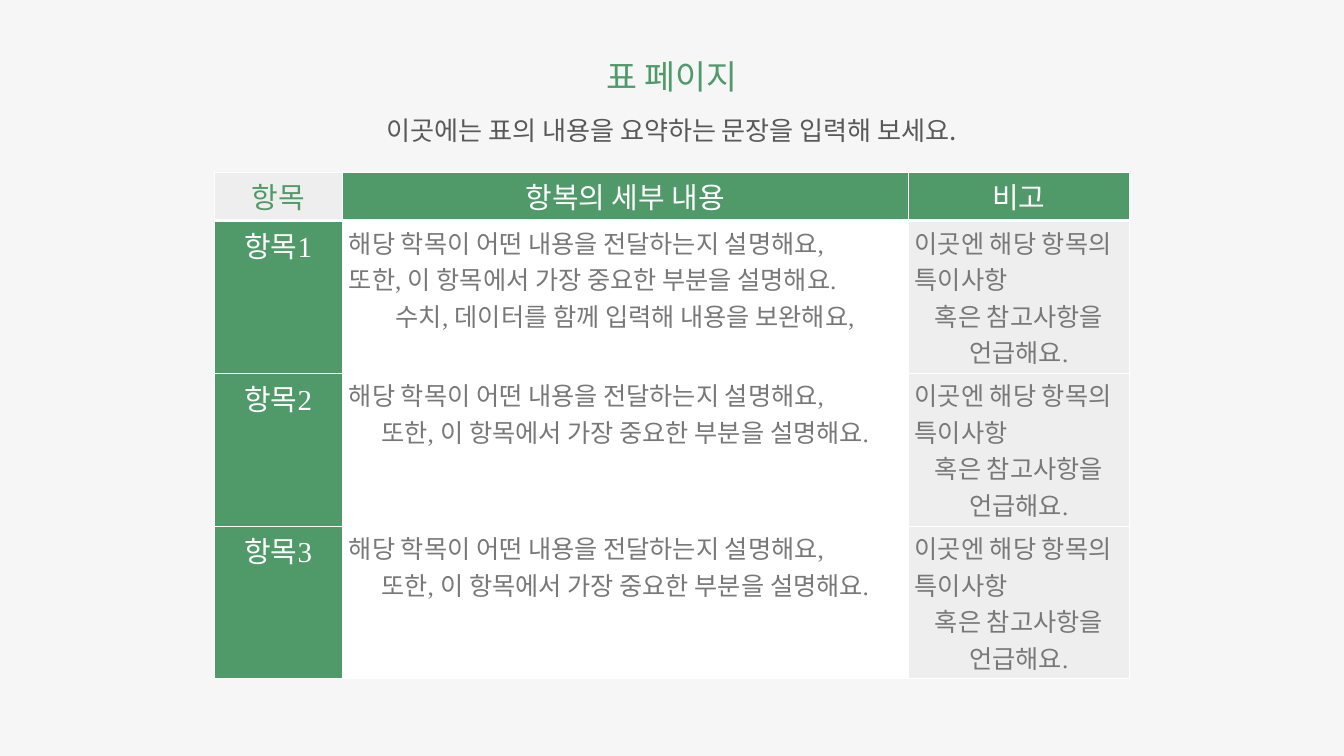
from dataclasses import dataclass

from lxml import etree
from pptx import Presentation
from pptx.dml.color import RGBColor
from pptx.enum.text import MSO_ANCHOR, MSO_AUTO_SIZE, PP_ALIGN
from pptx.oxml.ns import qn
from pptx.util import Cm, Pt

CENTER, LEFT = PP_ALIGN.CENTER, PP_ALIGN.LEFT
MIDDLE = MSO_ANCHOR.MIDDLE
NO_AUTOFIT = MSO_AUTO_SIZE.NONE
TITLE_ONLY = 5


@dataclass(frozen=True)
class Theme:
    page: str = "F6F6F6"
    green: str = "509A6A"
    pale: str = "EEEEEE"
    white: str = "FFFFFF"
    gray: str = "787878"
    dark: str = "595959"
    sans: str = "Noto Sans CJK KR"
    serif: str = "Times New Roman"
    title_size: int = 36
    summary_size: int = 28
    label_size: int = 31
    body_size: int = 27
    rule: int = 1
    header_rule: int = 3


THEME = Theme()

HEADINGS = ["항목", "항복의 세부 내용", "비고"]
DETAIL = ["해당 학목이 어떤 내용을 전달하는지 설명해요,",
          "또한, 이 항목에서 가장 중요한 부분을 설명해요."]
DATA_HINT = "수치, 데이터를 함께 입력해 내용을 보완해요,"
REMARK = ["이곳엔 해당 항목의 특이사항", "혹은 참고사항을 언급해요."]
ITEMS = [("항목1", DETAIL + [DATA_HINT]), ("항목2", DETAIL), ("항목3", DETAIL)]

COLUMN_WIDTHS = [4.83, 21.39, 8.38]
HEADER_HEIGHT, ITEM_HEIGHT = 1.83, 5.72


def write(frame, text, *, size, color, font):
    """Write one paragraph per line; only the last one is centred."""
    lines = [text] if isinstance(text, str) else text
    for index, line in enumerate(lines):
        para = frame.paragraphs[0] if index == 0 else frame.add_paragraph()
        para.alignment = CENTER if index == len(lines) - 1 else LEFT
        span = para.add_run()
        span.text = line
        span.font.size = Pt(size)
        span.font.name = font
        span.font.color.rgb = RGBColor.from_string(color)


def place_text(box, text, left, top, width, height, **text_format):
    box.left, box.top, box.width, box.height = map(Cm, (left, top, width, height))
    frame = box.text_frame
    frame.word_wrap = True
    frame.auto_size = NO_AUTOFIT
    frame.vertical_anchor = MIDDLE
    write(frame, text, font=THEME.sans, **text_format)


def add_borders(cell, bottom):
    properties = cell._tc.get_or_add_tcPr()
    rule = THEME.rule
    for side, width in (("L", rule), ("R", rule), ("T", rule), ("B", bottom)):
        line = etree.SubElement(properties, qn(f"a:ln{side}"), w=str(Pt(width)))
        fill = etree.SubElement(line, qn("a:solidFill"))
        etree.SubElement(fill, qn("a:srgbClr"), val=THEME.white)


def fill_cell(cell, text, *, fill, color, size, bottom=THEME.rule):
    add_borders(cell, bottom)
    cell.fill.solid()
    cell.fill.fore_color.rgb = RGBColor.from_string(fill)
    write(cell.text_frame, text, size=size, color=color, font=THEME.serif)


def add_item_table(page):
    heights = [HEADER_HEIGHT] + [ITEM_HEIGHT] * len(ITEMS)
    table = page.shapes.add_table(
        len(heights), len(COLUMN_WIDTHS), Cm(8.1), Cm(6.5),
        Cm(sum(COLUMN_WIDTHS)), Cm(sum(heights))).table
    table.first_row = table.horz_banding = False
    for column, width in zip(table.columns, COLUMN_WIDTHS):
        column.width = Cm(width)
    for row, height in zip(table.rows, heights):
        row.height = Cm(height)

    # Header row: the first cell has the colours of a pale corner
    for index, heading in enumerate(HEADINGS):
        fill, color = ((THEME.pale, THEME.green) if index == 0
                       else (THEME.green, THEME.white))
        fill_cell(table.cell(0, index), heading, fill=fill, color=color,
                  size=THEME.label_size, bottom=THEME.header_rule)

    # Item rows
    for row, (label, detail) in enumerate(ITEMS, start=1):
        fill_cell(table.cell(row, 0), label, fill=THEME.green,
                  color=THEME.white, size=THEME.label_size)
        for column, text, fill in ((1, detail, THEME.white), (2, REMARK, THEME.pale)):
            fill_cell(table.cell(row, column), text, fill=fill,
                      color=THEME.gray, size=THEME.body_size)


def main():
    deck = Presentation()
    deck.slide_width, deck.slide_height = Cm(50.8), Cm(28.58)
    page = deck.slides.add_slide(deck.slide_layouts[TITLE_ONLY])
    page.background.fill.solid()
    page.background.fill.fore_color.rgb = RGBColor.from_string(THEME.page)

    # Table
    add_item_table(page)

    # Title and summary
    place_text(page.shapes.title, "표 페이지", 15.47, 1.52, 19.86, 2.69,
               size=THEME.title_size, color=THEME.green)
    summary = page.shapes.add_textbox(0, 0, 0, 0)
    place_text(summary, "이곳에는 표의 내용을 요약하는 문장을 입력해 보세요.",
               10.01, 3.89, 30.76, 2.03,
               size=THEME.summary_size, color=THEME.dark)

    deck.save("out.pptx")


if __name__ == "__main__":
    main()
